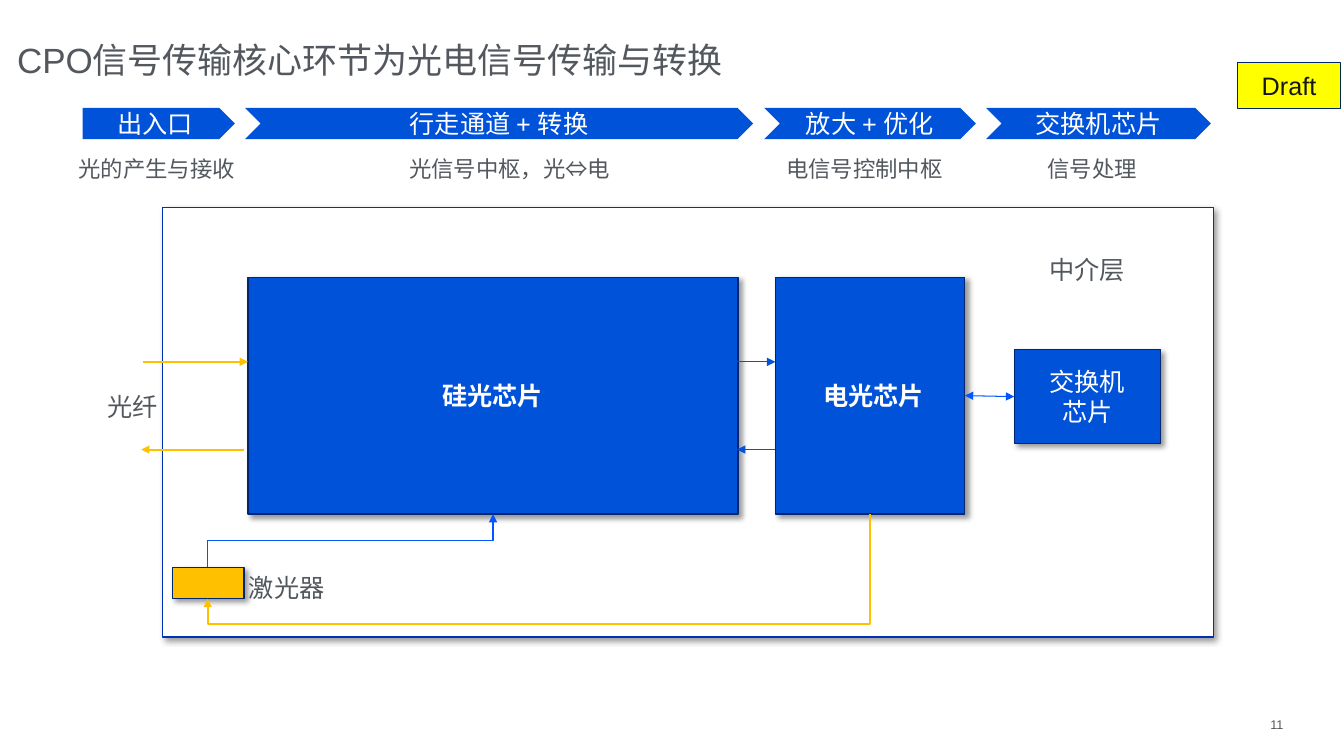
from dataclasses import dataclass
from typing import Optional

from lxml.etree import SubElement
from pptx import Presentation
from pptx.dml.color import RGBColor
from pptx.enum.shapes import MSO_CONNECTOR as Link, MSO_SHAPE as Kind
from pptx.enum.text import MSO_ANCHOR as Anchor, MSO_AUTO_SIZE as Fit, PP_ALIGN as Align
from pptx.oxml.ns import qn
from pptx.util import Inches, Pt

BLUE, BRIGHT, NAVY, EDGE = "0052D9", "0256FF", "012670", "0030B5"
GOLD, GREY, WHITE, INK = "FFC000", "53585F", "FFFFFF", "151618"
LATIN, HAN = "Arial", "Noto Sans CJK SC"


@dataclass
class Label:
    text: str
    left: float
    top: float
    width: float
    height: float = 0.4
    size: float = 18
    color: str = GREY
    font: str = LATIN
    bold: bool = False
    align: Align = Align.LEFT


@dataclass
class Box:
    left: float
    top: float
    width: float
    height: float
    fill: str = BLUE
    line: Optional[str] = NAVY
    text: str = ""
    color: str = WHITE
    shade: bool = True
    kind: Kind = Kind.RECTANGLE


@dataclass
class Arrow:
    start: tuple[float, float]
    end: tuple[float, float]
    color: str = BLUE
    width: float = 0.75
    both: bool = False


def paint(target, color: str) -> None:
    """Give a fill or line fill one solid colour."""
    target.solid()
    target.fore_color.rgb = RGBColor.from_string(color)


def write(frame, text: str, size: float, color: str, font: str = LATIN,
          bold: bool = False, align: Align = Align.CENTER) -> None:
    frame.word_wrap = True
    frame.text = text
    for para in frame.paragraphs:
        para.alignment = align
        for run in para.runs:
            run.font.size, run.font.name, run.font.bold = Pt(size), font, bold
            run.font.color.rgb = RGBColor.from_string(color)
            SubElement(run.font._element, qn("a:ea"), typeface=HAN)


def place(shape, left: float, top: float, width: float, height: float) -> None:
    shape.left, shape.top = Inches(left), Inches(top)
    shape.width, shape.height = Inches(width), Inches(height)


def margin(frame, gap: float) -> None:
    frame.margin_left = frame.margin_right = Inches(gap)
    frame.margin_top = frame.margin_bottom = Inches(gap)


def add_label(slide, item: Label):
    box = slide.shapes.add_textbox(Inches(item.left), Inches(item.top),
                                   Inches(item.width), Inches(item.height))
    write(box.text_frame, item.text, item.size, item.color, item.font, item.bold, item.align)
    return box


def add_box(slide, item: Box):
    shape = slide.shapes.add_shape(item.kind, Inches(item.left), Inches(item.top),
                                   Inches(item.width), Inches(item.height))
    paint(shape.fill, item.fill)
    if item.line:
        paint(shape.line.fill, item.line)
        shape.line.width = Pt(0.85)
    else:
        shape.line.fill.background()
    shape.shadow.inherit = False
    if item.shade:
        effects = shape._element.spPr.find(qn("a:effectLst"))
        cast = SubElement(effects, qn("a:outerShdw"), blurRad=str(Pt(4)), dist=str(Pt(3)),
                          dir=str(45 * 60000), algn="tl", rotWithShape="0")
        tint = SubElement(cast, qn("a:srgbClr"), val="000000")
        SubElement(tint, qn("a:alpha"), val="40000")
    if item.text:
        write(shape.text_frame, item.text, 18, item.color)
        shape.text_frame.vertical_anchor = Anchor.MIDDLE
    return shape


def add_arrow(slide, item: Arrow, kind: Link = Link.STRAIGHT):
    ends = [Inches(n) for n in (*item.start, *item.end)]
    link = slide.shapes.add_connector(kind, *ends)
    paint(link.line.fill, item.color)
    link.line.width = Pt(item.width)
    line = link.line._get_or_add_ln()
    if item.both:
        SubElement(line, qn("a:headEnd"), type="triangle")
    SubElement(line, qn("a:tailEnd"), type="triangle")
    SubElement(link._element.spPr, qn("a:effectLst"))
    return link


def add_bend(slide, item: Arrow, source, from_side: int, target, to_side: int,
             bend: float, flip: bool):
    """Join two boxes by an elbow that leaves and arrives vertically."""
    link = add_arrow(slide, item, Link.ELBOW)
    link.begin_connect(source, from_side)
    link.end_connect(target, to_side)
    (x1, y1), (x2, y2) = item.start, item.end
    wide, high = abs(y2 - y1), abs(x2 - x1)
    place(link, (x1 + x2 - wide) / 2, (y1 + y2 - high) / 2, wide, high)
    form = link._element.spPr.find(qn("a:xfrm"))
    form.set("rot", str(90 * 60000))
    for axis in ("flipH", "flipV"):
        form.set(axis, str(int(flip)))
    shape = link._element.spPr.find(qn("a:prstGeom"))
    guides = shape.find(qn("a:avLst"))
    SubElement(guides, qn("a:gd"), name="adj1", fmla=f"val {round(bend * 100000)}")


def main() -> None:
    deck = Presentation()
    deck.slide_width, deck.slide_height = Inches(13.33), Inches(7.5)
    slide = deck.slides.add_slide(deck.slide_layouts[5])

    # Title and page number
    title = slide.shapes.title
    place(title, 0.17, 0.19, 10.58, 0.8)
    write(title.text_frame, "CPO信号传输核心环节为光电信号传输与转换", 25, GREY, align=Align.LEFT)
    title.text_frame.auto_size = Fit.NONE
    title.text_frame.vertical_anchor = Anchor.MIDDLE
    margin(title.text_frame, 0)
    page = add_label(slide, Label("11", 12.37, 7.11, 0.36, 0.15, 9, align=Align.RIGHT))
    page.text_frame.vertical_anchor = Anchor.BOTTOM
    margin(page.text_frame, 0)

    # Stages across the top, each with its role below
    stages = [("出入口", 0.82, 1.51, Kind.PENTAGON),
              ("行走通道 + 转换", 2.43, 5.04, Kind.CHEVRON),
              ("放大 + 优化", 7.58, 2.1, Kind.CHEVRON),
              ("交换机芯片", 9.78, 2.23, Kind.CHEVRON)]
    for text, left, width, kind in stages:
        add_box(slide, Box(left, 1.07, width, 0.31, line=None, text=text, shade=False, kind=kind))
    roles = [("光的产生与接收", 0.68, 2.52), ("光信号中枢，光⇔电", 3.96, 2.65),
             ("电信号控制中枢", 7.7, 2.2), ("信号处理", 10.29, 2.2)]
    for text, left, width in roles:
        add_label(slide, Label(text, left, 1.49, width, 0.37, 16, font=HAN))

    # Interposer and the parts on it
    add_box(slide, Box(1.61, 2.06, 10.43, 4.26, WHITE, EDGE))
    optic = add_box(slide, Box(2.46, 2.75, 4.86, 2.35))
    laser = add_box(slide, Box(1.71, 5.63, 0.71, 0.31, GOLD))
    driver = add_box(slide, Box(7.69, 2.75, 1.88, 2.35))
    add_box(slide, Box(10.06, 2.47, 1.45, 0.4, WHITE, None, "中介层", GREY, False))
    switch = add_box(slide, Box(10.06, 3.47, 1.45, 0.93, text="交换机\n芯片"))

    # Names of the parts
    add_label(slide, Label("激光器", 2.37, 5.63, 2.2))
    add_label(slide, Label("光纤", 0.97, 3.83, 2.2))
    for text, left in (("硅光芯片", 4.19), ("电光芯片", 7.97)):
        add_label(slide, Label(text, left, 3.72, 1.39, color=WHITE, bold=True,
                               align=Align.CENTER))

    # Signal paths
    for path in (Arrow((1.42, 3.59), (2.46, 3.59), GOLD, 1.5),
                 Arrow((2.42, 4.46), (1.4, 4.46), GOLD, 1.5),
                 Arrow((7.31, 3.59), (7.69, 3.59)),
                 Arrow((7.69, 4.46), (7.31, 4.46))):
        add_arrow(slide, path)
    duplex = add_arrow(slide, Arrow((9.57, 3.93), (10.06, 3.93), BRIGHT, both=True))
    duplex.begin_connect(driver, 3)
    duplex.end_connect(switch, 1)
    add_bend(slide, Arrow((8.63, 5.1), (2.06, 5.94), GOLD, 1.5),
             driver, 2, laser, 2, 1.3, False)
    add_bend(slide, Arrow((2.06, 5.63), (4.89, 5.1), BRIGHT),
             laser, 0, optic, 2, 0.5, True)

    # Status stamp
    add_box(slide, Box(12.27, 0.62, 1.03, 0.46, "FFFF00", text="Draft", color=INK, shade=False))
    deck.save("out.pptx")


if __name__ == "__main__":
    main()
